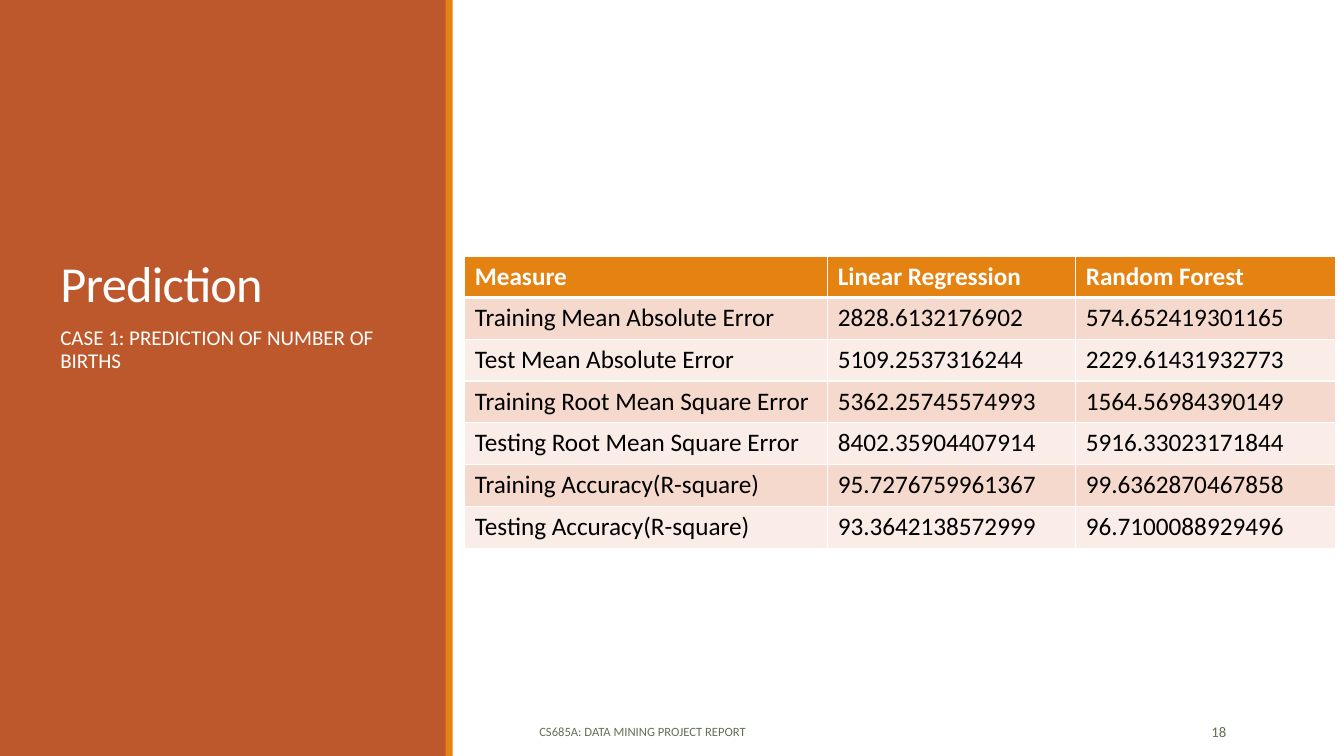
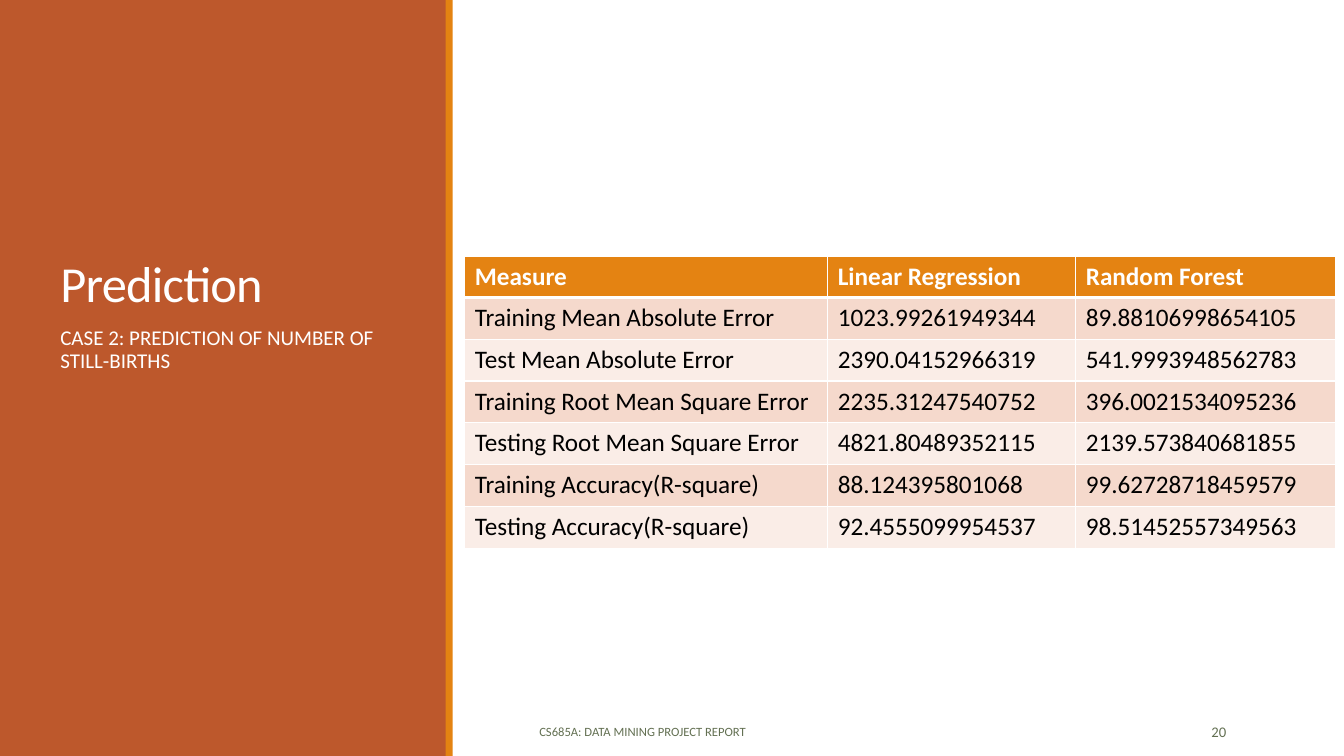
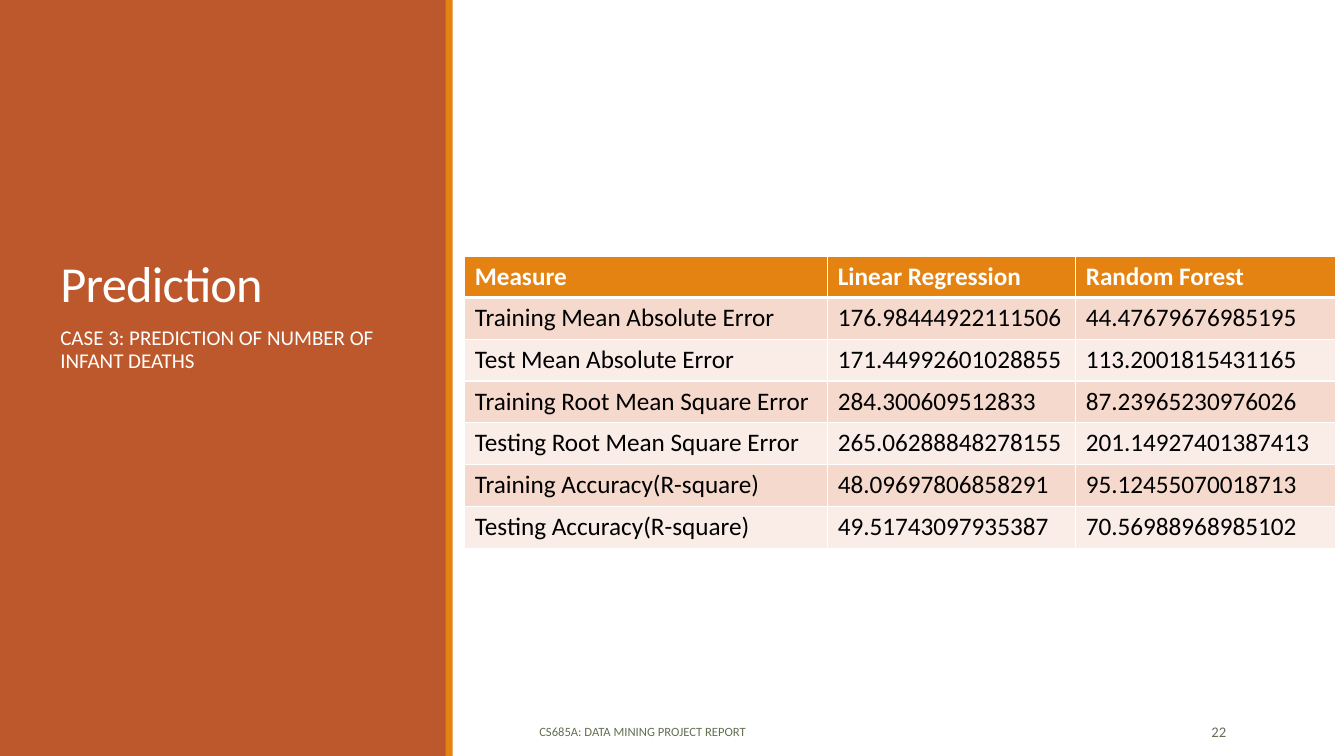
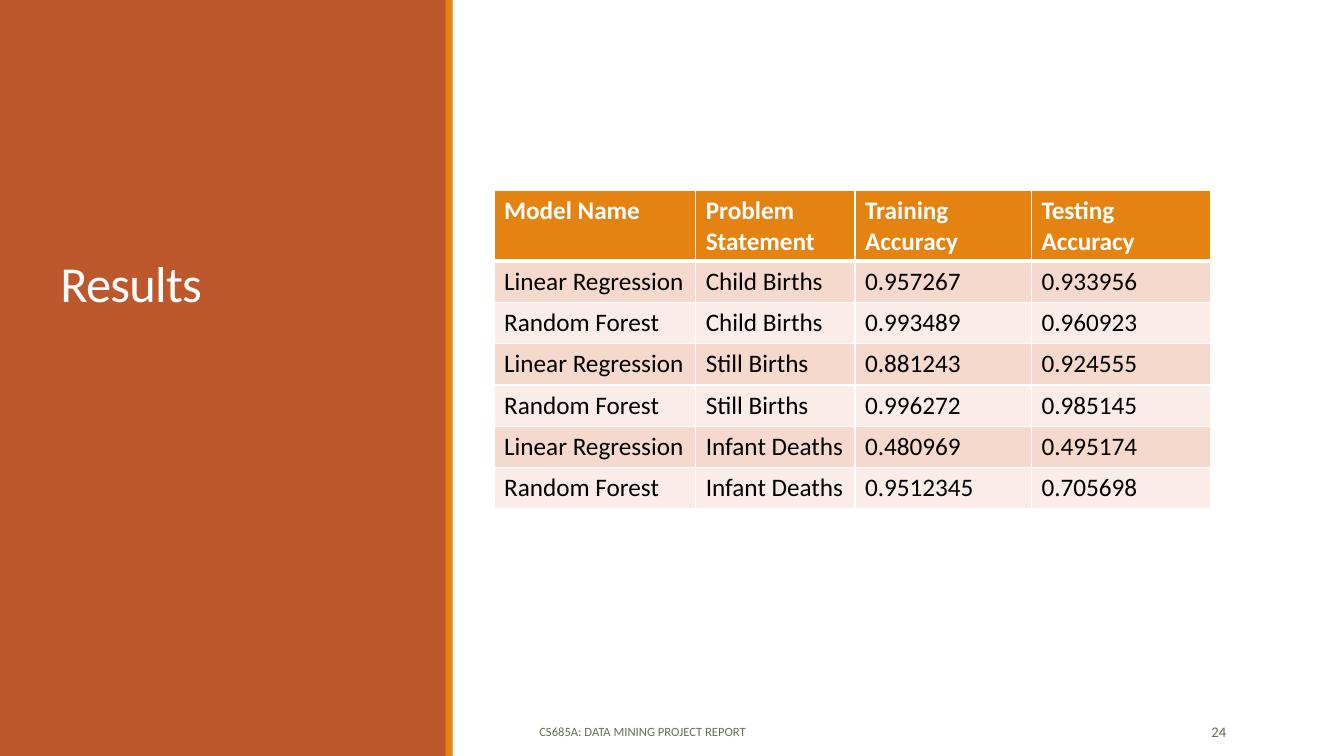
from lxml.etree import SubElement
from pptx import Presentation
from pptx.dml.color import RGBColor
from pptx.enum.shapes import MSO_SHAPE
from pptx.enum.text import MSO_ANCHOR, PP_ALIGN
from pptx.oxml.ns import qn
from pptx.util import Inches, Pt

FONT = "Calibri"
COLORS = {
    "panel": "BD582C",
    "accent": "E48312",
    "white": "FFFFFF",
    "black": "000000",
    "footer": "637052",
    "row_dark": "F5D9CC",
    "row_light": "FAEDE7",
}
FOOTER = "CS685A: DATA MINING PROJECT REPORT"

PREDICTION_HEADER = ["Measure", "Linear Regression", "Random Forest"]
MEASURES = [
    "Training Mean Absolute Error",
    "Test Mean Absolute Error",
    "Training Root Mean Square Error",
    "Testing Root Mean Square Error",
    "Training Accuracy(R-square)",
    "Testing Accuracy(R-square)",
]
# Page number, case, linear regression scores, random forest scores
CASES = [
    (18, "CASE 1: PREDICTION OF NUMBER OF BIRTHS",
     ["2828.6132176902", "5109.2537316244", "5362.25745574993",
      "8402.35904407914", "95.7276759961367", "93.3642138572999"],
     ["574.652419301165", "2229.61431932773", "1564.56984390149",
      "5916.33023171844", "99.6362870467858", "96.7100088929496"]),
    (20, "CASE 2: PREDICTION OF NUMBER OF STILL-BIRTHS",
     ["1023.99261949344", "2390.04152966319", "2235.31247540752",
      "4821.80489352115", "88.124395801068", "92.4555099954537"],
     ["89.88106998654105", "541.9993948562783", "396.0021534095236",
      "2139.573840681855", "99.62728718459579", "98.51452557349563"]),
    (22, "CASE 3: PREDICTION OF NUMBER OF INFANT DEATHS",
     ["176.98444922111506", "171.44992601028855", "284.300609512833",
      "265.06288848278155", "48.09697806858291", "49.51743097935387"],
     ["44.47679676985195", "113.2001815431165", "87.23965230976026",
      "201.14927401387413", "95.12455070018713", "70.56988968985102"]),
]
RESULTS = [
    ["Model Name", "Problem Statement", "Training Accuracy", "Testing Accuracy"],
    ["Linear Regression", "Child Births", "0.957267", "0.933956"],
    ["Random Forest", "Child Births", "0.993489", "0.960923"],
    ["Linear Regression", "Still Births", "0.881243", "0.924555"],
    ["Random Forest", "Still Births", "0.996272", "0.985145"],
    ["Linear Regression", "Infant Deaths", "0.480969", "0.495174"],
    ["Random Forest", "Infant Deaths", "0.9512345", "0.705698"],
]


def color(name):
    return RGBColor.from_string(COLORS[name])


def write(frame, text, size=18, fill="black", bold=False, align=PP_ALIGN.LEFT,
          line_spacing=1.0, tracking=None):
    paragraph = frame.paragraphs[0]
    paragraph.alignment = align
    paragraph.line_spacing = line_spacing
    run = paragraph.add_run()
    run.text = text
    run.font.name = FONT
    run.font.size = Pt(size)
    run.font.bold = bold
    run.font.color.rgb = color(fill)
    if tracking is not None:
        run.font._element.set("spc", str(int(tracking * 100)))


def add_text(slide, text, left, top, width, height, anchor=MSO_ANCHOR.TOP, **style):
    box = slide.shapes.add_textbox(
        Inches(left), Inches(top), Inches(width), Inches(height))
    box.text_frame.word_wrap = True
    box.text_frame.vertical_anchor = anchor
    write(box.text_frame, text, **style)


def add_band(slide, left, width, fill):
    band = slide.shapes.add_shape(
        MSO_SHAPE.RECTANGLE, Inches(left), 0, Inches(width), Inches(7.5))
    band.shadow.inherit = False
    band.fill.solid()
    band.fill.fore_color.rgb = color(fill)
    band.line.fill.background()


def set_borders(cell, **widths):
    """Draw white cell borders; widths in points are keyed L, R, T and B."""
    properties = cell._tc.get_or_add_tcPr()
    for position, side in enumerate("LRTB"):
        border = SubElement(properties, qn(f"a:ln{side}"),
                            w=str(Pt(widths.get(side, 1))))
        paint = SubElement(border, qn("a:solidFill"))
        SubElement(paint, qn("a:srgbClr"), val=COLORS["white"])
        properties.insert(position, border)


def add_data_table(slide, rows, left, top, column_widths, header_height, row_height):
    heights = [header_height] + [row_height] * (len(rows) - 1)
    table = slide.shapes.add_table(
        len(rows), len(column_widths), Inches(left), Inches(top),
        Inches(sum(column_widths)), Inches(sum(heights))).table
    for column, width in zip(table.columns, column_widths):
        column.width = Inches(width)
    for index, (row, values) in enumerate(zip(table.rows, rows)):
        row.height = Inches(heights[index])
        header = index == 0
        band = "accent" if header else "row_dark" if index % 2 else "row_light"
        for cell, value in zip(row.cells, values):
            cell.fill.solid()
            cell.fill.fore_color.rgb = color(band)
            set_borders(cell, T=3 if index == 1 else 1, B=3 if header else 1)
            write(cell.text_frame, value, bold=header,
                  fill="white" if header else "black")


def add_report_slide(deck, title, page):
    """Add a slide with the side panel, title, footer and page number."""
    slide = deck.slides.add_slide(deck.slide_layouts[6])
    add_band(slide, 0, 4.43, "panel")
    add_band(slide, 4.42, 0.07, "accent")
    add_text(slide, title, 0.5, 0.65, 3.5, 2.5, anchor=MSO_ANCHOR.BOTTOM,
             size=36, fill="white", line_spacing=0.85, tracking=-0.5)
    add_text(slide, FOOTER, 5.25, 7.06, 5.08, 0.4, anchor=MSO_ANCHOR.MIDDLE,
             size=9, fill="footer")
    add_text(slide, str(page), 10.83, 7.06, 1.43, 0.4, anchor=MSO_ANCHOR.MIDDLE,
             size=10.5, fill="footer", align=PP_ALIGN.RIGHT)
    return slide


def add_prediction_slide(deck, page, case, linear, forest):
    slide = add_report_slide(deck, "Prediction", page)
    add_text(slide, case, 0.5, 3.2, 3.5, 3.7, size=15, fill="white",
             line_spacing=0.9)
    rows = [PREDICTION_HEADER, *zip(MEASURES, linear, forest)]
    add_data_table(slide, rows, 4.61, 2.54, [3.6, 2.46, 2.58], 0.41, 0.415)


def add_results_slide(deck, page):
    slide = add_report_slide(deck, "Results", page)
    add_data_table(slide, RESULTS, 4.9, 1.89, [2, 1.58, 1.75, 1.78], 0.7, 0.41)


def main():
    deck = Presentation()
    deck.slide_width = Inches(13.33)
    deck.slide_height = Inches(7.5)
    for case in CASES:
        add_prediction_slide(deck, *case)
    add_results_slide(deck, 24)
    deck.save("out.pptx")


if __name__ == "__main__":
    main()
